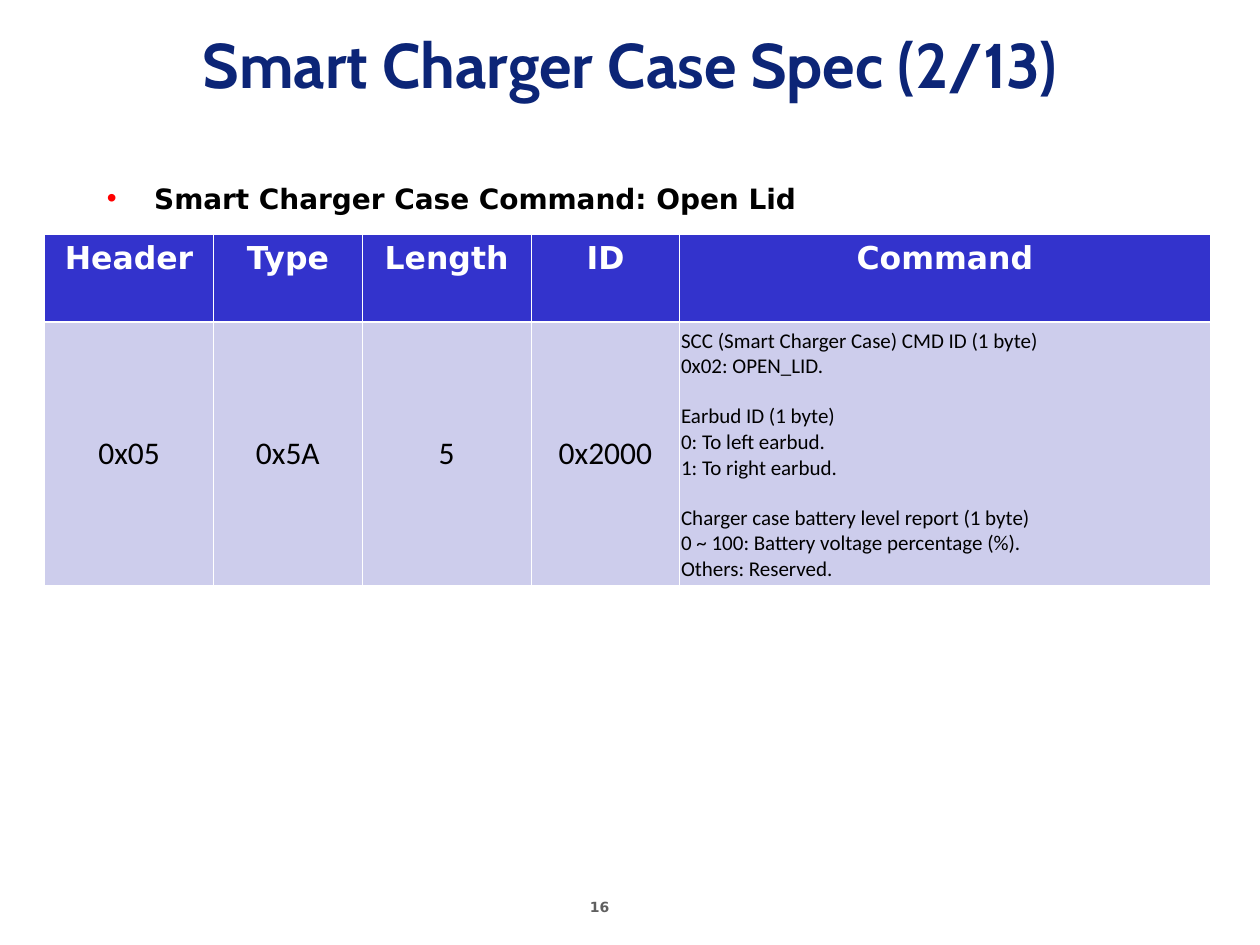
from lxml import etree
from pptx import Presentation
from pptx.dml.color import RGBColor
from pptx.enum.text import MSO_ANCHOR, PP_ALIGN
from pptx.oxml.ns import qn
from pptx.util import Pt

LEFT, CENTER = PP_ALIGN.LEFT, PP_ALIGN.CENTER
TOP, MIDDLE = MSO_ANCHOR.TOP, MSO_ANCHOR.MIDDLE

COLORS = {"title": "0C2577", "text": "000000", "page": "5F5F5F",
          "dot": "FF0000", "white": "FFFFFF", "head": "3333CC",
          "body": "CDCDEC"}
SANS = "DejaVu Sans"

TITLE = "Smart Charger Case Spec (2/13)"
TOPIC = "Smart Charger Case Command: Open Lid"
PAGE = "16"
HEADS = ["Header", "Type", "Length", "ID", "Command"]
VALUES = ["0x05", "0x5A", "5", "0x2000"]
GROUPS = [
    ["SCC (Smart Charger Case) CMD ID (1 byte)", "0x02: OPEN_LID."],
    ["Earbud ID (1 byte)", "0: To left earbud.", "1: To right earbud."],
    ["Charger case battery level report (1 byte)",
     "0 ~ 100: Battery voltage percentage (%).", "Others: Reserved."],
]
WIDTHS = [96.5, 85, 96.5, 85, 303]
HEIGHTS = [50, 145]
GROUP_GAP = 14
THIN, THICK = 0.45, 1.47


def style(frame, size, font, color, bold=False, align=LEFT):
    for para in frame.paragraphs:
        para.alignment = align
        for run in para.runs:
            run.font.size = Pt(size)
            run.font.name = font
            run.font.bold = bold
            run.font.color.rgb = RGBColor.from_string(COLORS[color])


def add_text(slide, box, text, *look, anchor=TOP):
    frame = slide.shapes.add_textbox(*map(Pt, box)).text_frame
    frame.word_wrap = True
    frame.vertical_anchor = anchor
    frame.text = text
    style(frame, *look)
    return frame


def add_bullet(para, indent):
    props = para._p.get_or_add_pPr()
    props.set("marL", str(Pt(indent)))
    props.set("indent", str(-Pt(indent)))
    color = etree.SubElement(props, qn("a:buClr"))
    etree.SubElement(color, qn("a:srgbClr"), val=COLORS["dot"])
    etree.SubElement(props, qn("a:buFont"), typeface="Arial")
    etree.SubElement(props, qn("a:buChar"), char="•")


def paint(cell, fill, top, bottom):
    """Give a cell white borders and a solid fill."""
    props = cell._tc.get_or_add_tcPr()
    sides = {"lnL": THIN, "lnR": THIN, "lnT": top, "lnB": bottom}
    for side, width in sides.items():
        line = etree.SubElement(props, qn("a:" + side), w=str(Pt(width)))
        solid = etree.SubElement(line, qn("a:solidFill"))
        etree.SubElement(solid, qn("a:srgbClr"), val=COLORS["white"])
    cell.fill.solid()
    cell.fill.fore_color.rgb = RGBColor.from_string(COLORS[fill])


def add_grid(slide):
    box = (25.5, 134, sum(WIDTHS), sum(HEIGHTS))
    table = slide.shapes.add_table(2, len(WIDTHS), *map(Pt, box)).table
    for col, width in zip(table.columns, WIDTHS):
        col.width = Pt(width)
    for row, height in zip(table.rows, HEIGHTS):
        row.height = Pt(height)

    for col, head in enumerate(HEADS):
        cell = table.cell(0, col)
        cell.text_frame.text = head
        style(cell.text_frame, 18, SANS, "white", True, CENTER)
        paint(cell, "head", THIN, THICK)

    notes = "\n".join(line for group in GROUPS for line in group)
    for col, text in enumerate(VALUES + [notes]):
        cell = table.cell(1, col)
        cell.margin_left = cell.margin_right = Pt(0.75)
        cell.vertical_anchor = MIDDLE
        cell.text_frame.text = text
        size, align = (18, CENTER) if col < len(VALUES) else (12, LEFT)
        style(cell.text_frame, size, "Calibri", "text", False, align)
        paint(cell, "body", THICK, THIN)

    paras = table.cell(1, len(VALUES)).text_frame.paragraphs
    start = 0
    for group in GROUPS[:-1]:
        start += len(group)
        paras[start].space_before = Pt(GROUP_GAP)


def main():
    prs = Presentation()
    prs.slide_width, prs.slide_height = Pt(720), Pt(540)
    slide = prs.slides.add_slide(prs.slide_layouts[6])
    add_text(slide, (330, 510, 55, 19), PAGE, 8, SANS, "page", True)
    add_text(slide, (0, 0, 720, 72), TITLE, 36, "Cabin", "title", True,
             CENTER, anchor=MIDDLE)
    topic = add_text(slide, (54, 100, 666, 372), TOPIC, 16, SANS, "text", True)
    add_bullet(topic.paragraphs[0], 27)
    add_grid(slide)
    prs.save("out.pptx")


if __name__ == "__main__":
    main()
